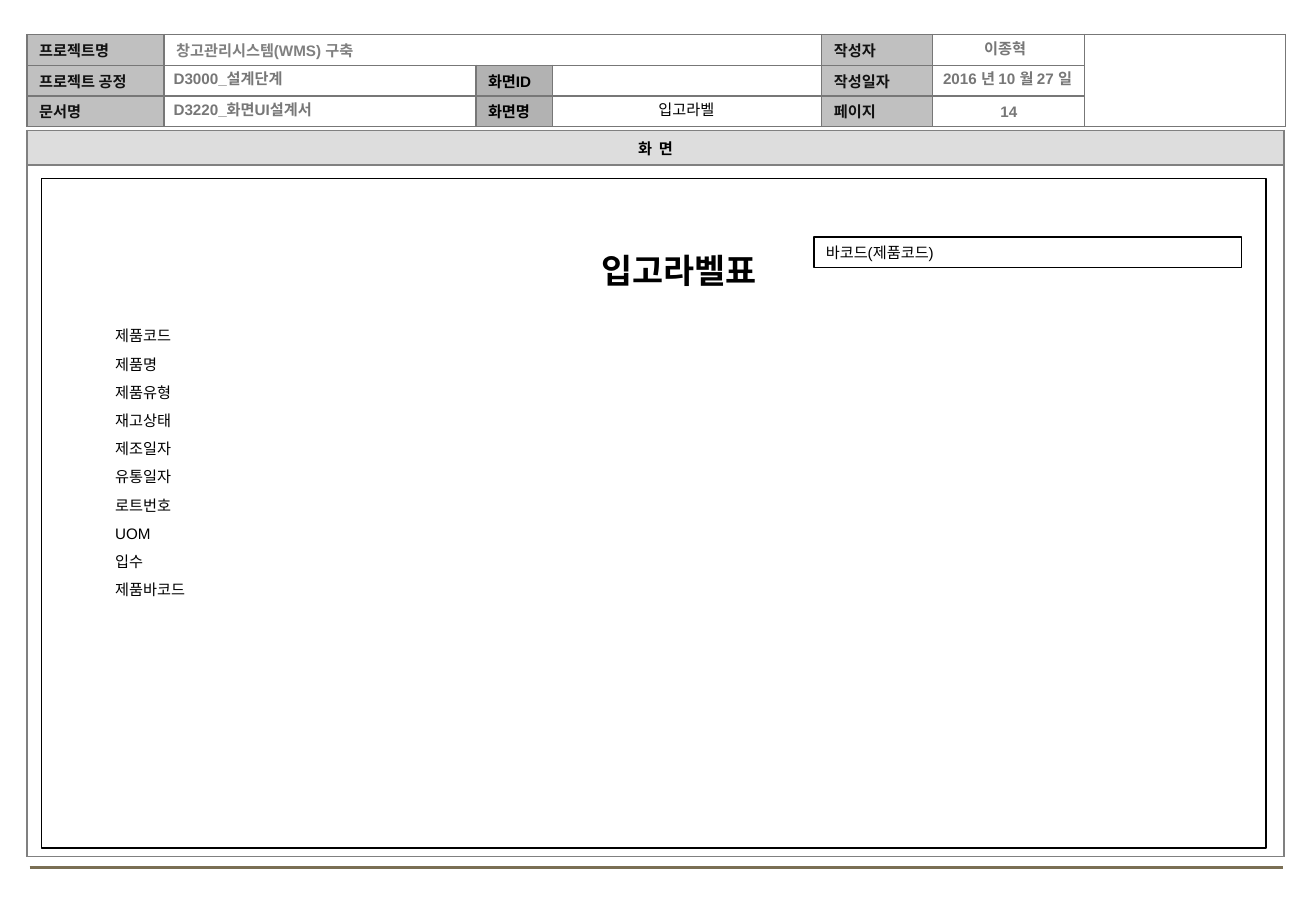
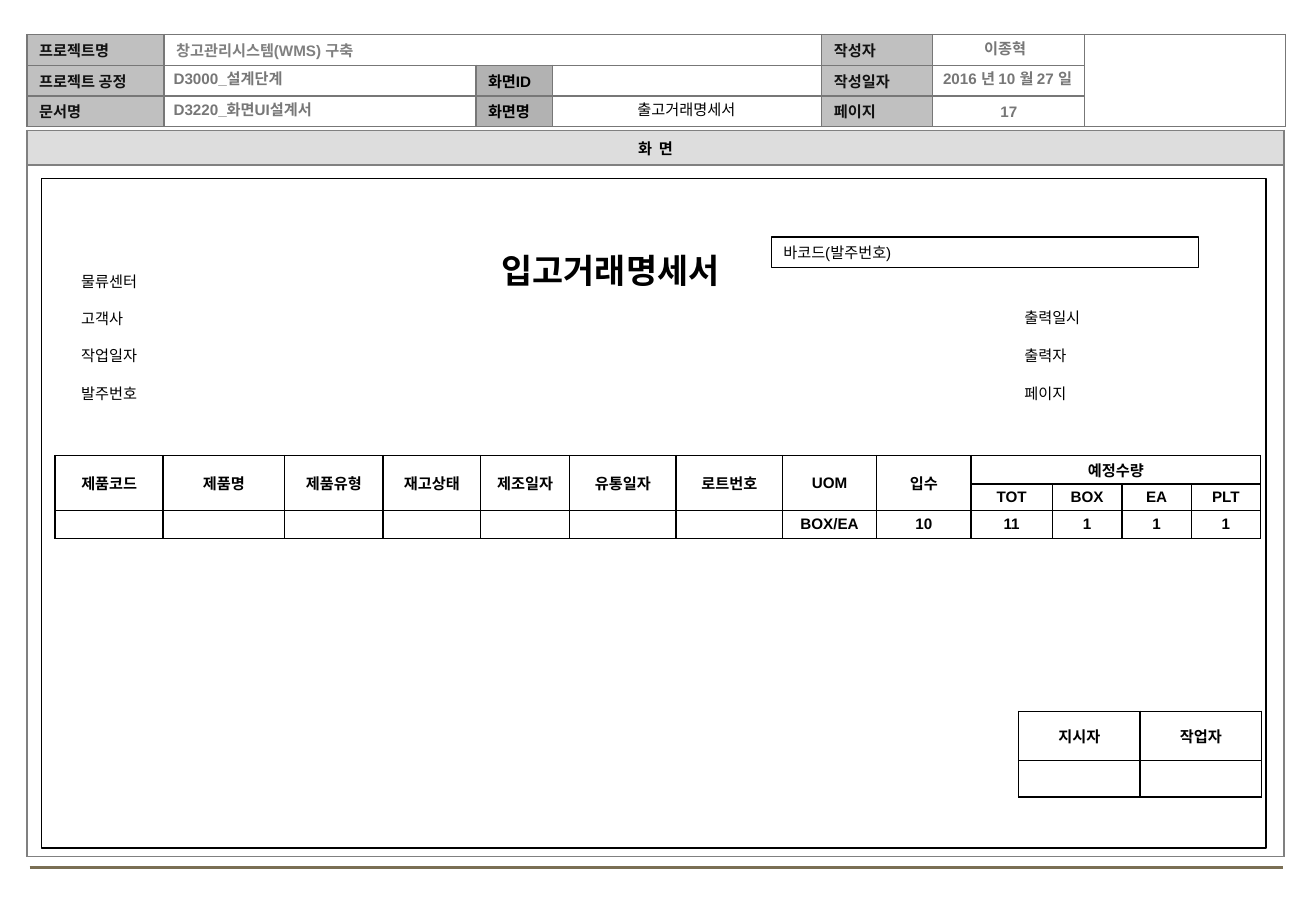
from lxml.etree import SubElement
from pptx import Presentation
from pptx.dml.color import RGBColor
from pptx.enum.shapes import MSO_CONNECTOR, MSO_SHAPE
from pptx.enum.text import MSO_ANCHOR, MSO_AUTO_SIZE, PP_ALIGN
from pptx.oxml.ns import qn
from pptx.util import Pt

BLACK = RGBColor(0x00, 0x00, 0x00)
INK = RGBColor(0x11, 0x11, 0x11)
GRAY = RGBColor(0x77, 0x77, 0x77)
MID_GRAY = RGBColor(0x80, 0x80, 0x80)
LABEL_FILL = RGBColor(0xC0, 0xC0, 0xC0)
SCREEN_FILL = RGBColor(0xB2, 0xB2, 0xB2)
BAND_FILL = RGBColor(0xDD, 0xDD, 0xDD)
FOOT_LINE = RGBColor(0x7A, 0x6F, 0x54)
FONT = "Arial"
LEFT, CENTER = PP_ALIGN.LEFT, PP_ALIGN.CENTER


def write(frame, text, color=BLACK, bold=False, align=LEFT, size=9):
    frame.text = text
    para = frame.paragraphs[0]
    para.alignment = align
    for span in para.runs:
        span.font.name = FONT
        span.font.size = Pt(size)
        span.font.bold = bold
        span.font.color.rgb = color


def add_grid(page, left, top, widths, heights, texts, border, merges=(), align=CENTER):
    """Add a plain bordered table; texts maps (row, column) to wording."""
    grid = page.shapes.add_table(len(heights), len(widths), Pt(left), Pt(top),
                                 Pt(sum(widths)), Pt(sum(heights))).table
    grid.first_row = grid.horz_banding = False
    for column, width in zip(grid.columns, widths):
        column.width = Pt(width)
    for row, height in zip(grid.rows, heights):
        row.height = Pt(height)
    for first, last in merges:
        grid.cell(*first).merge(grid.cell(*last))
    for row in range(len(heights)):
        for column in range(len(widths)):
            cell = grid.cell(row, column)
            cell.vertical_anchor = MSO_ANCHOR.MIDDLE
            cell.margin_left = cell.margin_right = Pt(7.2 if align == LEFT else 0.7)
            cell.margin_top = cell.margin_bottom = 0
            write(cell.text_frame, texts.get((row, column), ""), bold=True, align=align)
            # Keep empty cells from growing their row
            para = cell.text_frame.paragraphs[0]
            SubElement(para._p, qn("a:endParaRPr"), sz="900")
            # Borders come before the fill
            properties = cell._tc.get_or_add_tcPr()
            for side in ("a:lnL", "a:lnR", "a:lnT", "a:lnB"):
                line = SubElement(properties, qn(side), w=str(Pt(1)))
                solid = SubElement(line, qn("a:solidFill"))
                SubElement(solid, qn("a:srgbClr"), val=str(border))
            cell.fill.background()
    return grid


# Shared header wording
HEADER_WIDTHS = (81.2, 184.9, 45.6, 159.4, 65.8, 90.1, 119.1)
HEADER_TEXTS = {
    (0, 0): "프로젝트명", (0, 1): "창고관리시스템(WMS) 구축", (0, 4): "작성자",
    (1, 0): "프로젝트 공정", (1, 2): "화면ID", (1, 4): "작성일자",
    (2, 0): "문서명", (2, 2): "화면명", (2, 4): "페이지",
}
HEADER_MERGES = [((0, 1), (0, 3)), ((0, 6), (2, 6))]
COLUMN_STYLES = {0: (LABEL_FILL, INK), 2: (SCREEN_FILL, BLACK), 4: (LABEL_FILL, INK)}

# What differs: screen name, page number, title and its left and width, barcode text and left,
# then label columns as (left, first top, step, labels)
PAGES = [
    ("입고라벨", "14", "입고라벨표", 355, 103.7, "바코드(제품코드)", 482.4,
     [(61.2, 190.1, 16.72, ["제품코드", "제품명", "제품유형", "재고상태", "제조일자",
                            "유통일자", "로트번호", "UOM", "입수", "제품바코드"])]),
    ("출고거래명세서", "17", "입고거래명세서", 296, 144, "바코드(발주번호)", 457.2,
     [(41, 157.7, 22.1, ["물류센터", "고객사", "작업일자", "발주번호"]),
      (600, 179.5, 22.3, ["출력일시", "출력자", "페이지"])]),
]

deck = Presentation()
deck.slide_width, deck.slide_height = Pt(780), Pt(540)

for screen, number, title, title_left, title_width, barcode, barcode_left, columns in PAGES:
    page = deck.slides.add_slide(deck.slide_layouts[5])

    # Footer line
    rule = page.shapes.add_connector(MSO_CONNECTOR.STRAIGHT, Pt(17.5), Pt(514), Pt(760.5), Pt(514))
    rule.line.color.rgb = FOOT_LINE
    rule.line.width = Pt(1.75)
    SubElement(rule._element.spPr, qn("a:effectLst"))

    # Document header
    header = add_grid(page, 16, 20.5, HEADER_WIDTHS, [18.2] * 3, HEADER_TEXTS, GRAY,
                      HEADER_MERGES, LEFT)
    for row, column in HEADER_TEXTS:
        cell = header.cell(row, column)
        para = cell.text_frame.paragraphs[0]
        para.space_before = Pt(2)
        color = MID_GRAY
        if column in COLUMN_STYLES:
            fill, color = COLUMN_STYLES[column]
            cell.fill.solid()
            cell.fill.fore_color.rgb = fill
        para.runs[0].font.color.rgb = color

    # Screen area with its heading band
    area = add_grid(page, 16, 77.3, [745], [20.6, 410], {(0, 0): "화  면"}, MID_GRAY)
    band = area.cell(0, 0)
    band.fill.solid()
    band.fill.fore_color.rgb = BAND_FILL
    band.text_frame.paragraphs[0].space_before = Pt(2)

    # Header values and field labels
    labels = [
        ("D3000_설계단계", 95.8, 37.5, 390, GRAY, True, LEFT),
        ("D3220_화면UI설계서", 95.8, 56, 390, GRAY, True, LEFT),
        (number, 553, 57, 90, GRAY, True, CENTER),
        (screen, 328.3, 56, 157, BLACK, False, CENTER),
        ("2016 년 10 월 27 일", 540.7, 37.5, 113, GRAY, True, CENTER),
        ("이종혁", 539.3, 19.5, 113, GRAY, True, CENTER),
    ]
    for left, top, step, names in columns:
        labels += [(name, left, top + step * index, 84, BLACK, False, LEFT)
                   for index, name in enumerate(names)]
    for text, left, top, width, color, bold, align in labels:
        box = page.shapes.add_textbox(Pt(left), Pt(top), Pt(width), Pt(18))
        box.text_frame.word_wrap = True
        write(box.text_frame, text, color, bold, align)

    # Form outline and barcode field
    for text, left, top, width, height in [("", 24.5, 106, 726, 396.7),
                                           (barcode, barcode_left, 140.5, 253.4, 18)]:
        box = page.shapes.add_shape(MSO_SHAPE.RECTANGLE, Pt(left), Pt(top), Pt(width), Pt(height))
        box.shadow.inherit = False
        box.fill.background()
        box.line.color.rgb = BLACK
        box.line.width = Pt(0.75)
        write(box.text_frame, text)

    # Form title
    heading = page.shapes.title
    heading.left, heading.top = Pt(title_left), Pt(145.4)
    heading.width, heading.height = Pt(title_width), Pt(30.2)
    frame = heading.text_frame
    frame.auto_size = MSO_AUTO_SIZE.NONE
    frame.word_wrap = False
    frame.vertical_anchor = MSO_ANCHOR.TOP
    frame.margin_left = frame.margin_right = Pt(1.4)
    frame.margin_top = frame.margin_bottom = Pt(2.9)
    write(frame, title, bold=True, size=20)

# Item table on the last page
ITEM_WIDTHS = (64, 72, 58.4, 57.8, 52.7, 63.1, 63.1, 55.8, 56, 48.2, 41.2, 41.2, 41)
HEADINGS = ["제품코드", "제품명", "제품유형", "재고상태", "제조일자", "유통일자",
            "로트번호", "UOM", "입수", "예정수량"]
item_texts = {(0, column): name for column, name in enumerate(HEADINGS)}
item_texts.update({(1, 9 + index): unit for index, unit in enumerate(["TOT", "BOX", "EA", "PLT"])})
item_texts.update({(2, 7 + index): value
                   for index, value in enumerate(["BOX/EA", "10", "11", "1", "1", "1"])})
item_merges = [((0, column), (1, column)) for column in range(9)] + [((0, 9), (0, 12))]
add_grid(page, 32.7, 270, ITEM_WIDTHS, [17, 15.8, 16.5], item_texts, BLACK, item_merges)

# Sign-off table
add_grid(page, 603.7, 421.7, [72, 72], [29, 21.6], {(0, 0): "지시자", (0, 1): "작업자"}, BLACK)

deck.save("out.pptx")
